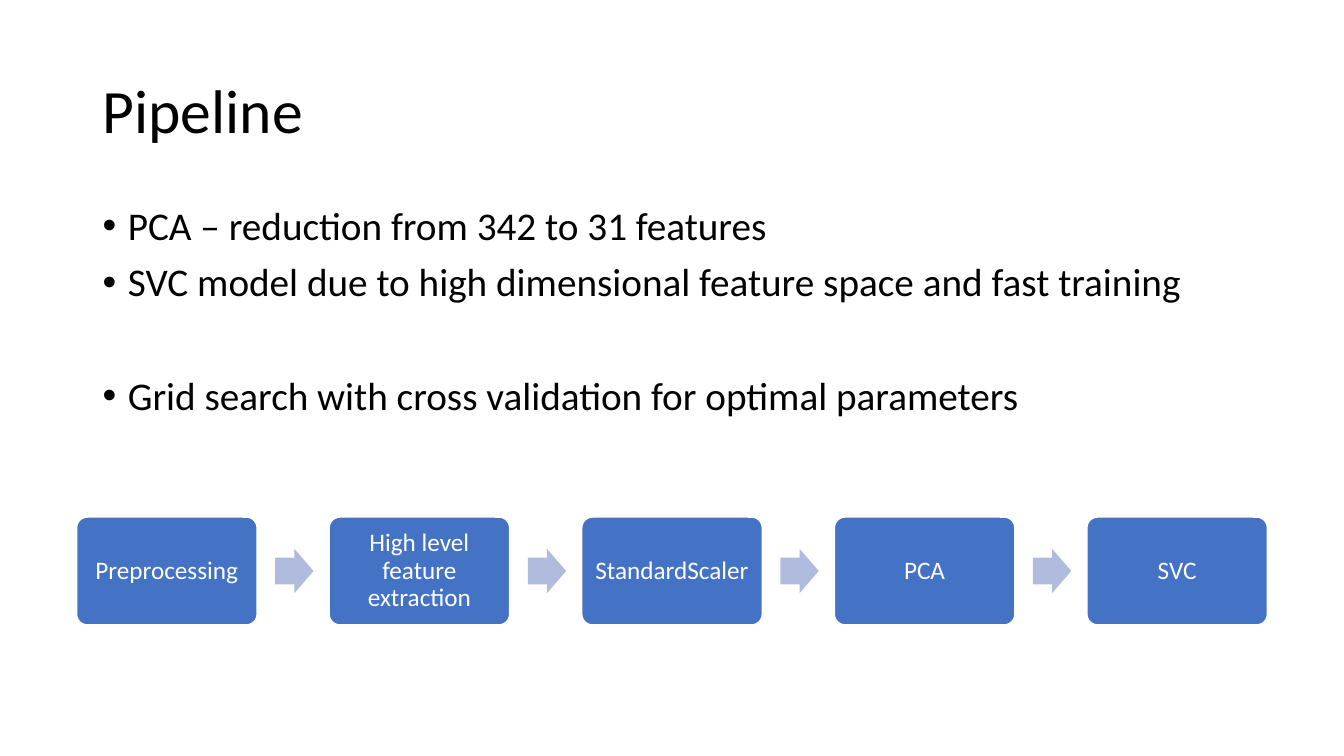
from lxml.etree import SubElement
from pptx import Presentation
from pptx.dml.color import RGBColor
from pptx.enum.shapes import MSO_SHAPE
from pptx.enum.text import MSO_ANCHOR, PP_ALIGN
from pptx.oxml.ns import qn
from pptx.util import Pt

PX = 9144
FONT = "Calibri"
COLORS = {"text": "000000", "step": "4472C4", "arrow": "B0BCDE", "white": "FFFFFF"}
BULLETS = [
    ("PCA – reduction from 342 to 31 features", 10),
    ("SVC model due to high dimensional feature space and fast training", 10),
    ("Grid search with cross validation for optimal parameters", 51),
]
STEPS = ["Preprocessing", "High level feature extraction", "StandardScaler", "PCA", "SVC"]


def px(*lengths):
    """Turn pixel lengths into EMU."""
    return [round(length * PX) for length in lengths]


def rgb(name):
    """Look up a named colour."""
    return RGBColor.from_string(COLORS[name])


def write(paragraph, text, size, color):
    """Add one styled run to a paragraph."""
    paragraph.line_spacing = 0.9
    run = paragraph.add_run()
    run.text = text
    run.font.name = FONT
    run.font.size = Pt(size)
    run.font.color.rgb = rgb(color)


def add_text_frame(slide, box, anchor):
    """Add a wrapping text box and return its frame."""
    frame = slide.shapes.add_textbox(*px(*box)).text_frame
    frame.word_wrap = True
    frame.vertical_anchor = anchor
    return frame


def add_title(slide, box, text):
    """Place the slide title."""
    frame = add_text_frame(slide, box, MSO_ANCHOR.MIDDLE)
    write(frame.paragraphs[0], text, 44, "text")


def add_bullets(slide, box, bullets):
    """Place the bulleted list."""
    frame = add_text_frame(slide, box, MSO_ANCHOR.TOP)
    for index, (text, space_before) in enumerate(bullets):
        paragraph = frame.add_paragraph() if index else frame.paragraphs[0]
        write(paragraph, text, 28, "text")
        paragraph.space_before = Pt(space_before)
        properties = paragraph._p.get_or_add_pPr()
        indent, = px(25)
        properties.set("marL", str(indent))
        properties.set("indent", str(-indent))
        SubElement(properties, qn("a:buFont")).set("typeface", "Arial")
        SubElement(properties, qn("a:buChar")).set("char", "•")


def add_filled_shape(slide, kind, box, color, adjustments):
    """Add a flat preset shape without an outline."""
    shape = slide.shapes.add_shape(kind, *px(*box))
    for index, value in enumerate(adjustments):
        shape.adjustments[index] = value
    shape.shadow.inherit = False
    shape.fill.solid()
    shape.fill.fore_color.rgb = rgb(color)
    shape.line.fill.background()
    return shape


def add_step(slide, box, text):
    """Place one labelled pipeline step."""
    shape = add_filled_shape(slide, MSO_SHAPE.ROUNDED_RECTANGLE, box, "step", [0.1])
    shape.line.color.rgb = rgb("white")
    shape.line.width = Pt(1)
    frame = shape.text_frame
    frame.word_wrap = True
    frame.vertical_anchor = MSO_ANCHOR.MIDDLE
    inset, = px(7)
    frame.margin_left = frame.margin_right = inset
    frame.margin_top = frame.margin_bottom = inset
    paragraph = frame.paragraphs[0]
    paragraph.alignment = PP_ALIGN.CENTER
    write(paragraph, text, 18, "white")


def add_pipeline(slide, box, steps):
    """Spread the steps evenly over the box, with arrows between them."""
    left, top, width, height = box
    step_width, arrow_gap, arrow_width, arrow_height = 179, 18, 38, 44
    pitch = (width - step_width) / (len(steps) - 1)
    arrow_top = top + (height - arrow_height) / 2
    for index, text in enumerate(steps):
        step_left = left + index * pitch
        add_step(slide, (step_left, top, step_width, height), text)
        if index < len(steps) - 1:
            arrow_left = step_left + step_width + arrow_gap
            arrow_box = (arrow_left, arrow_top, arrow_width, arrow_height)
            add_filled_shape(slide, MSO_SHAPE.RIGHT_ARROW, arrow_box, "arrow", [0.6, 0.5])


def main():
    """Build and save the slide."""
    presentation = Presentation()
    presentation.slide_width, presentation.slide_height = px(1333, 750)
    slide = presentation.slides.add_slide(presentation.slide_layouts[6])
    add_title(slide, (92, 40, 1150, 145), "Pipeline")
    add_bullets(slide, (92, 200, 1150, 476), BULLETS)
    add_pipeline(slide, (76, 513, 1181, 107), STEPS)
    presentation.save("out.pptx")


if __name__ == "__main__":
    main()
